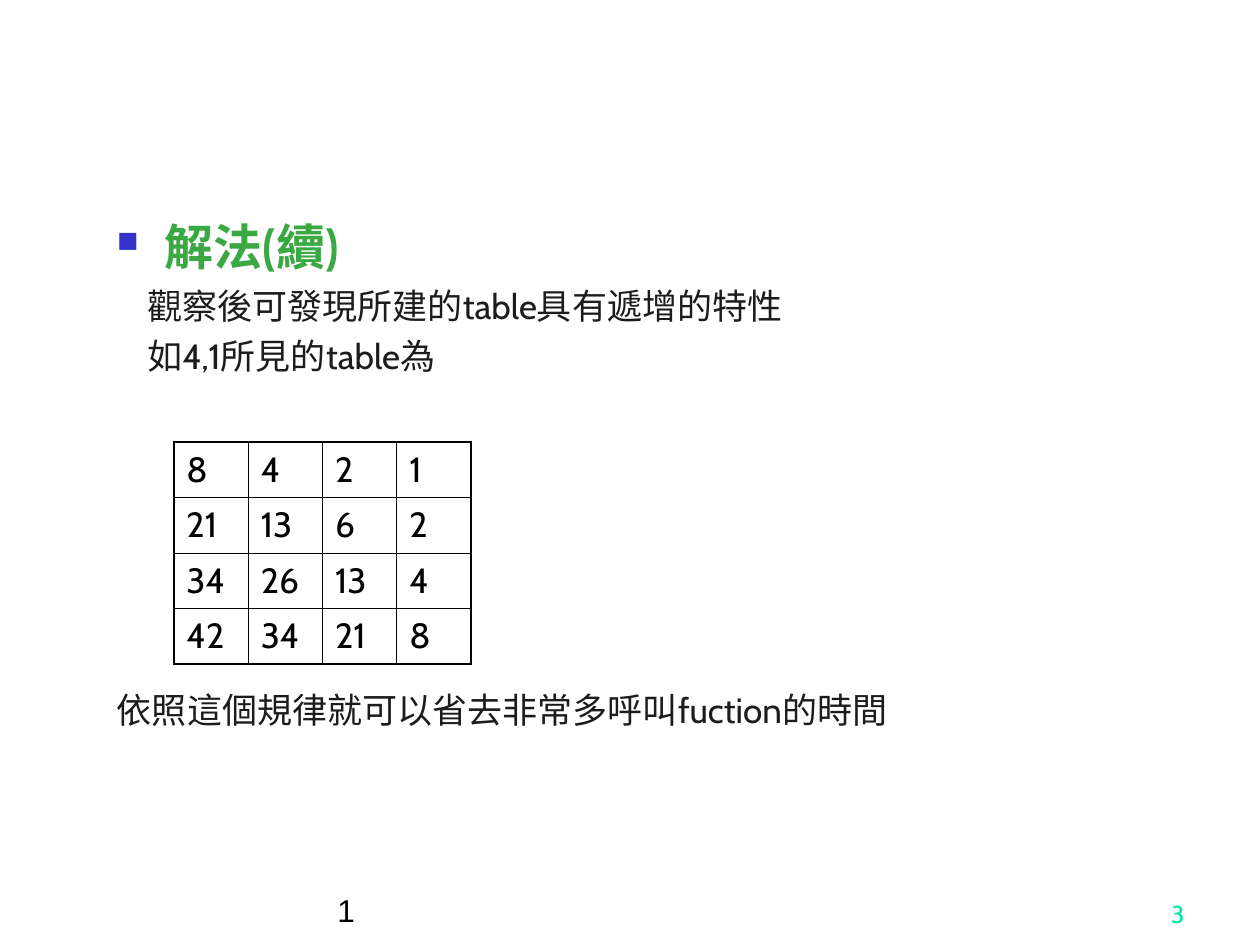
from lxml import etree
from pptx import Presentation
from pptx import util as u
from pptx.dml.color import RGBColor
from pptx.enum import text
from pptx.oxml.ns import qn

# Content: words, size, colour, bold, left margin (in), space before (pt)
LINES = [
    ("解法(續)", 28, "green", True, 0.38, 0),
    ("觀察後可發現所建的table具有遞增的特性", 20, "ink", False, 0.24, 5),
    ("如4,1所見的table為", 20, "ink", False, 0.24, 5),
    ("依照這個規律就可以省去非常多呼叫fuction的時間", 20, "ink", False, 0, 178),
]
GRID = [
    [8, 4, 2, 1],
    [21, 13, 6, 2],
    [34, 26, 13, 4],
    [42, 34, 21, 8],
]
# Footer: words, left, width, size, font, colour, alignment
FOOT = [
    ("1", 2.58, 5.42, 18, "Arial", "black", text.PP_ALIGN.LEFT),
    ("3", 7.42, 2.08, 14, "Cabin", "mint", text.PP_ALIGN.RIGHT),
]
COLORS = {"green": "3BA943", "ink": "1C1C1C", "black": "000000",
          "mint": "00E4A8", "blue": "3333CC"}
COL, ROW = 0.59, 0.44
THIN, THICK = 0.45, 1.08


def add_run(para, words, size, color, font="Cabin", bold=False):
    run = para.add_run()
    run.text = words
    run.font.size = u.Pt(size)
    run.font.name = font
    run.font.bold = bold
    run.font.color.rgb = RGBColor.from_string(COLORS[color])


def add_box(slide, left, top, width, height):
    box = slide.shapes.add_textbox(*map(u.Inches, (left, top, width, height)))
    box.text_frame.word_wrap = True
    return box.text_frame


def add_bullet(props, color):
    tint = etree.SubElement(props, qn("a:buClr"))
    etree.SubElement(tint, qn("a:srgbClr"), val=COLORS[color])
    etree.SubElement(props, qn("a:buSzPct"), val="60000")
    etree.SubElement(props, qn("a:buChar"), char="■")


def add_edges(cell, widths):
    props = cell._tc.get_or_add_tcPr()
    for spot, (side, width) in enumerate(widths.items()):
        line = etree.Element(qn(f"a:ln{side}"), w=str(u.Pt(width)))
        fill = etree.SubElement(line, qn("a:solidFill"))
        etree.SubElement(fill, qn("a:srgbClr"), val=COLORS["black"])
        props.insert(spot, line)


def add_body(slide):
    frame = add_box(slide, 0.83, 1.67, 8.5, 5.08)
    for i, (words, size, color, bold, margin, gap) in enumerate(LINES):
        para = frame.paragraphs[0] if i == 0 else frame.add_paragraph()
        props = para._p.get_or_add_pPr()
        props.set("marL", str(u.Inches(margin)))
        if i == 0:
            props.set("indent", str(-u.Inches(margin)))
            add_bullet(props, "blue")
        else:
            para.space_before = u.Pt(gap)
        add_run(para, words, size, color, bold=bold)


def add_grid(slide):
    rows, cols = len(GRID), len(GRID[0])
    table = slide.shapes.add_table(
        rows, cols, u.Inches(1.38), u.Inches(3.51),
        u.Inches(COL * cols), u.Inches(ROW * rows)).table
    table.first_row = table.horz_banding = False
    for col in table.columns:
        col.width = u.Inches(COL)
    for r, row in enumerate(GRID):
        table.rows[r].height = u.Inches(ROW)
        for c, value in enumerate(row):
            cell = table.cell(r, c)
            cell.fill.background()
            add_run(cell.text_frame.paragraphs[0], str(value), 20, "black")
            # Outer edges are thick, inner ones thin
            outer = {"L": c == 0, "R": c == cols - 1,
                     "T": r == 0, "B": r == rows - 1}
            add_edges(cell, {side: THICK if out else THIN
                             for side, out in outer.items()})


def add_foot(slide):
    for words, left, width, size, font, color, align in FOOT:
        frame = add_box(slide, left, 6.92, width, 0.5)
        frame.vertical_anchor = text.MSO_ANCHOR.BOTTOM
        para = frame.paragraphs[0]
        para.alignment = align
        add_run(para, words, size, color, font)


def main():
    deck = Presentation()
    deck.slide_width, deck.slide_height = u.Inches(10), u.Inches(7.5)
    slide = deck.slides.add_slide(deck.slide_layouts[6])
    add_body(slide)
    add_grid(slide)
    add_foot(slide)
    deck.save("out.pptx")


if __name__ == "__main__":
    main()
